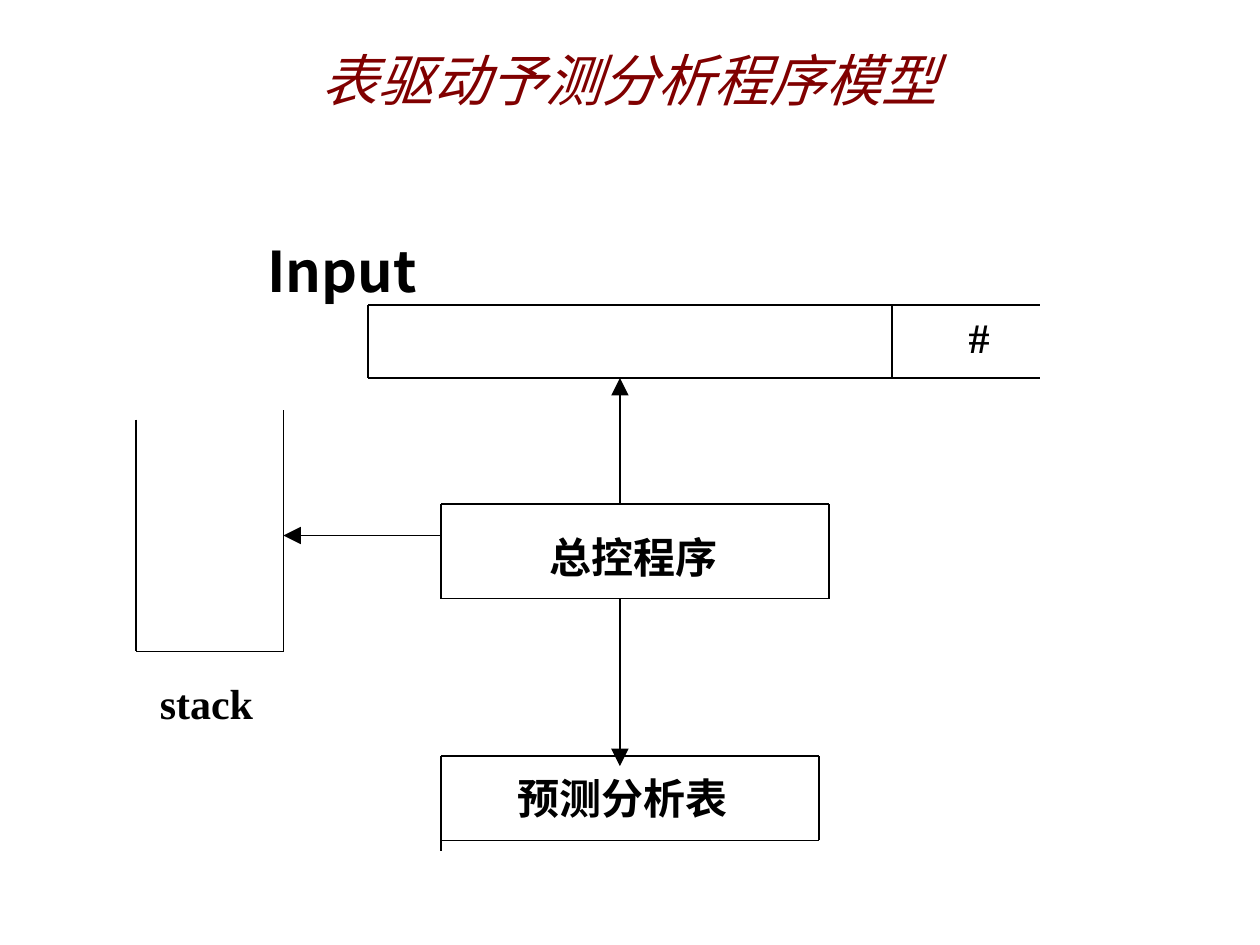
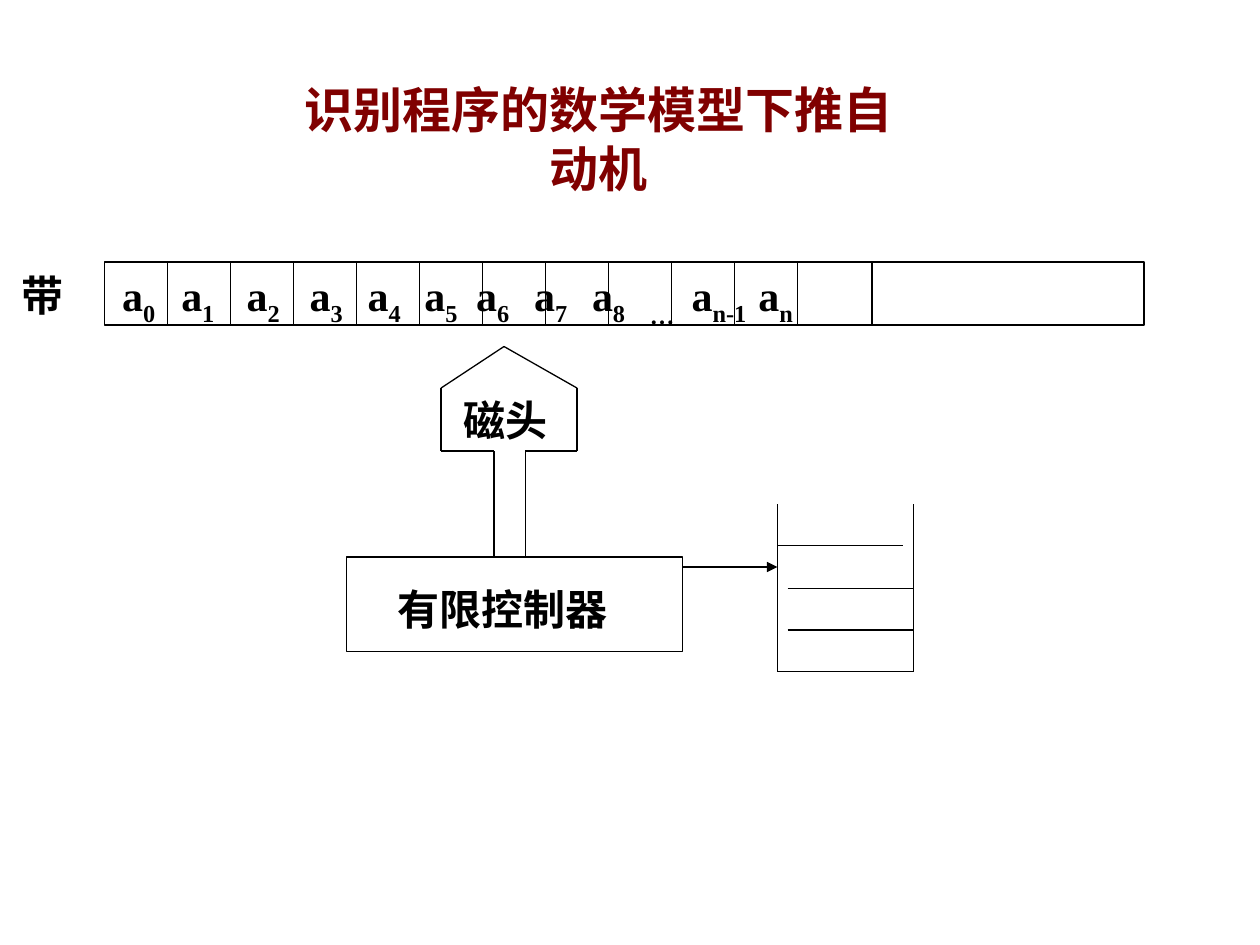
"""Build two slides on table-driven parsing and the pushdown automaton."""
from dataclasses import dataclass
from itertools import pairwise

import pptx
import pptx.dml.color
import pptx.enum.shapes
import pptx.enum.text
import pptx.oxml
import pptx.oxml.ns
import pptx.util
from pptx.util import Inches


@dataclass(frozen=True)
class Theme:
    """Hold the colours, fonts and sizes that both slides share."""
    ink: str = "000000"
    red: str = "800000"
    sans: str = "Arial"
    serif: str = "Times New Roman"
    han: str = "Noto Sans CJK SC"
    head: int = 32
    title: int = 28
    label: int = 24
    small: int = 14
    rule: float = 0.75


LOOK = Theme()
ALIGN = pptx.enum.text.PP_ALIGN
ANCHOR = pptx.enum.text.MSO_ANCHOR


def color(code):
    """Turn a hex code into a colour."""
    return pptx.dml.color.RGBColor.from_string(code)


def node(parent, tag, **attrs):
    """Append an XML child with attributes."""
    child = parent.makeelement(pptx.oxml.ns.qn(tag), attrs)
    parent.append(child)
    return child


def write(shape, text, size=LOOK.label, font=LOOK.serif, ink=LOOK.ink,
          bold=True, italic=False, align=ALIGN.LEFT, anchor=ANCHOR.TOP,
          wrap=True, indent=0):
    """Fill a shape with text, where bars enclose subscripts."""
    frame = shape.text_frame
    frame.word_wrap = wrap
    frame.auto_size = pptx.enum.text.MSO_AUTO_SIZE.NONE
    frame.vertical_anchor = anchor
    para = frame.paragraphs[0]
    para.alignment = align
    para.line_spacing = 1.0
    para.space_before = pptx.util.Pt(0)
    props = para._p.get_or_add_pPr()
    props.set("marL", str(Inches(indent)))
    props.set("indent", "0")
    node(props, "a:buNone")
    for index, part in enumerate(text.split("|")):
        if not part:
            continue
        run = para.add_run()
        run.text = part
        run.font.size = pptx.util.Pt(size)
        run.font.name = font
        run.font.bold = bold
        run.font.italic = italic
        run.font.color.rgb = color(ink)
        props = run._r.get_or_add_rPr()
        node(props, "a:ea", typeface=LOOK.han)
        if index % 2:
            props.set("baseline", "-25000")


def place(shape, left, top, width, height):
    """Move and size a placeholder."""
    shape.left, shape.top = Inches(left), Inches(top)
    shape.width, shape.height = Inches(width), Inches(height)
    return shape


def label(slide, text, left, top, width, height=0.5, **style):
    """Add a text box."""
    frame = slide.shapes.add_textbox(*map(Inches, (left, top, width, height)))
    write(frame, text, **style)


def box(slide, left, top, width, height):
    """Add an empty rectangle."""
    kind = pptx.enum.shapes.MSO_SHAPE.RECTANGLE
    shape = slide.shapes.add_shape(
        kind, *map(Inches, (left, top, width, height)))
    shape.shadow.inherit = False
    shape.fill.background()
    shape.line.color.rgb = color(LOOK.ink)
    shape.line.width = pptx.util.Pt(LOOK.rule)


def line(slide, x1, y1, x2, y2, arrow=None):
    """Draw a straight line, with an arrowhead of the given size."""
    kind = pptx.enum.shapes.MSO_CONNECTOR.STRAIGHT
    link = slide.shapes.add_connector(kind, *map(Inches, (x1, y1, x2, y2)))
    link.line.color.rgb = color(LOOK.ink)
    link.line.width = pptx.util.Pt(LOOK.rule)
    if arrow:
        node(link.line._get_or_add_ln(), "a:tailEnd", type="triangle",
             w=arrow, len=arrow)
    node(link._element.spPr, "a:effectLst")


def trace(slide, *points):
    """Join the points with straight lines."""
    for start, end in pairwise(points):
        line(slide, *start, *end)


def frame(slide, left, top, right, foot):
    """Draw four lines around an area."""
    trace(slide, (left, top), (right, top), (right, foot), (left, foot),
          (left, top))


def parser(deck):
    """Build the slide on the table-driven parser."""
    slide = deck.slides.add_slide(deck.slide_layouts[1])
    write(place(slide.shapes.title, 0.75, 0, 8.5, 1.25),
          "表驱动予测分析程序模型", size=LOOK.head, font=LOOK.sans,
          ink=LOOK.red, bold=False, italic=True, align=ALIGN.CENTER,
          anchor=ANCHOR.MIDDLE)
    write(place(slide.placeholders[1], 0.5, 1.83, 8.94, 4.79), "Input",
          size=LOOK.head, font=LOOK.han, indent=1.52)

    trace(slide, (1.08, 3.33), (1.08, 5.17), (2.25, 5.17), (2.25, 3.25))
    trace(slide, (8.25, 2.42), (2.92, 2.42), (2.92, 3), (8.25, 3))
    line(slide, 7.08, 2.42, 7.08, 3)
    frame(slide, 3.5, 4, 6.58, 4.75)
    frame(slide, 3.5, 6, 6.5, 6.67)
    line(slide, 3.5, 6.67, 3.5, 6.75)
    for ends in ((4.92, 4, 4.92, 3), (3.5, 4.25, 2.25, 4.25),
                 (4.92, 4.75, 4.92, 6.08)):
        line(slide, *ends, arrow="lg")

    label(slide, "#", 7.59, 2.42, 0.36, wrap=False)
    label(slide, "总控程序", 4.26, 4.17, 1.53, font=LOOK.han, wrap=False)
    label(slide, "预测分析表", 4.01, 6.08, 1.86, font=LOOK.han, wrap=False)
    label(slide, "stack", 1.17, 5.33, 0.94, wrap=False)


def machine(deck):
    """Build the slide on the pushdown automaton."""
    slide = deck.slides.add_slide(deck.slide_layouts[5])
    write(place(slide.shapes.title, 2.25, 0.58, 5, 1.04),
          "识别程序的数学模型下推自动机", size=LOOK.title, ink=LOOK.red,
          align=ALIGN.CENTER)

    left, top, cell = 0.83, 2.08, 0.5
    box(slide, left, top, 8.25, cell)
    for edge in [left + cell * step for step in range(1, 12)] + [6.92]:
        line(slide, edge, top, edge, top + cell)
    label(slide, "带", 0.07, 2.09, 0.6)
    marks = [*range(9), "n-1", "n"]
    spots = (0.87, 1.34, 1.86, 2.36, 2.82, 3.27, 3.68, 4.14, 4.6, 5.39, 5.92)
    for mark, spot in zip(marks, spots):
        label(slide, f"a|{mark}|", spot, 2.09, 0.65, wrap=False)
    label(slide, "…", 5.06, 2.33, 0.4, 0.3, size=LOOK.small, wrap=False)

    box(slide, 2.75, 4.42, 2.67, 0.75)
    label(slide, "有限控制器", 3.06, 4.58, 2.27)
    trace(slide, (3.92, 4.42), (3.92, 3.58), (3.5, 3.58), (3.5, 3.08),
          (4, 2.75), (4.58, 3.08), (4.58, 3.58), (4.17, 3.58), (4.17, 4.42))
    label(slide, "磁头", 3.58, 3.08, 0.92)

    trace(slide, (6.17, 4), (6.17, 5.33), (7.25, 5.33), (7.25, 4))
    line(slide, 6.17, 4.33, 7.17, 4.33)
    for level in (4.67, 5):
        line(slide, 6.25, level, 7.25, level)
    line(slide, 5.42, 4.5, 6.17, 4.5, arrow="med")


def main():
    """Build and save the deck."""
    deck = pptx.Presentation()
    deck.slide_width, deck.slide_height = Inches(10), Inches(7.5)
    parser(deck)
    machine(deck)
    deck.save("out.pptx")


if __name__ == "__main__":
    main()
